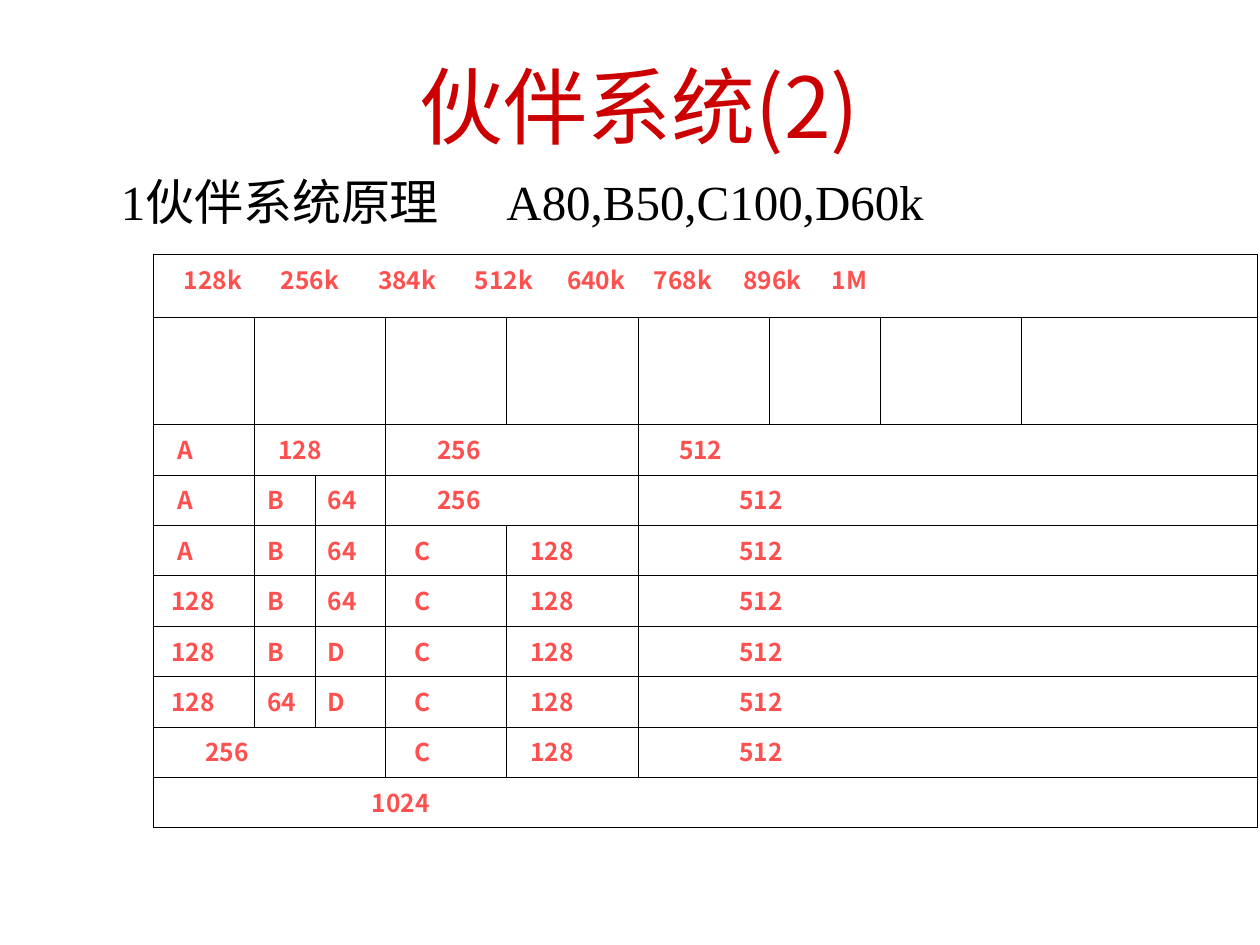
import pptx
import pptx.util
import pptx.dml.color
import pptx.enum.text
import pptx.oxml.ns
from lxml import etree

Inches = pptx.util.Inches
Pt = pptx.util.Pt
qn = pptx.oxml.ns.qn

INK = {"title": "CC0000", "text": "000000", "cell": "FF5050", "line": "000000"}
SANS = "Noto Sans CJK SC"
COLS = [0.8, 0.48, 0.56, 0.96, 1.05, 1.04, 0.88, 1.12, 1.05]
ROWS = [0.5, 0.85] + [0.4] * 8
MARKS = ["128k", "256k", "384k", "512k", "640k", "768k", "896k", "1M"]
STOPS = [0.77, 1.54, 2.31, 3.04, 3.73, 4.44, 5.14]

# Each block is its label, the columns it spans and its indent in inches.
A = ("A", 1, 0.09)
B = ("B", 1, 0)
C = ("C", 1, 0.13)
D = ("D", 1, 0)
FREE = ("128", 1, 0.04)
SMALL = ("64", 1, 0)
HALF = ("256", 2, 0.31)
TAIL = [("128", 1, 0.09), ("512", 4, 0.7)]
BLOCKS = [
    [("\t".join(MARKS), 9, 0.14)],
    [("", span, 0) for span in (1, 2, 1, 1, 1, 1, 1, 1)],
    [A, ("128", 2, 0.09), HALF, ("512", 4, 0.22)],
    [A, B, SMALL, HALF, TAIL[1]],
    [A, B, SMALL, C] + TAIL,
    [FREE, B, SMALL, C] + TAIL,
    [FREE, B, D, C] + TAIL,
    [FREE, SMALL, D, C] + TAIL,
    [("256", 3, 0.31), C] + TAIL,
    [("1024", 9, 1.63)],
]


def style(para, size, face, east, ink, bold=False):
    for run in para.runs:
        font = run.font
        font.size = Pt(size)
        font.bold = bold
        font.color.rgb = pptx.dml.color.RGBColor.from_string(INK[ink])
        font.name = face
        props = run._r.get_or_add_rPr()
        etree.SubElement(props, qn("a:ea")).set("typeface", east)


def set_tabs(para, stops):
    tabs = etree.SubElement(para._p.get_or_add_pPr(), qn("a:tabLst"))
    for stop in stops:
        tab = etree.SubElement(tabs, qn("a:tab"))
        tab.set("pos", str(Inches(stop)))
        tab.set("algn", "l")


def place(shape, left, top, width, height):
    shape.left, shape.top = Inches(left), Inches(top)
    shape.width, shape.height = Inches(width), Inches(height)


def add_title(slide):
    title = slide.shapes.title
    place(title, 0.75, 0.21, 8.5, 1.25)
    frame = title.text_frame
    frame.text = "伙伴系统(2)"
    frame.margin_left = Inches(0.25)
    frame.vertical_anchor = pptx.enum.text.MSO_ANCHOR.MIDDLE
    para = frame.paragraphs[0]
    para.alignment = pptx.enum.text.PP_ALIGN.CENTER
    style(para, 48, "Noto Sans CJK JP", "Noto Sans CJK JP", "title")


def add_lead(slide):
    box = slide.shapes.add_textbox(0, 0, 0, 0)
    frame = box.text_frame
    frame.word_wrap = True
    frame.margin_left = Inches(0.21)
    frame.text = "1伙伴系统原理\tA80,B50,C100,D60k"
    para = frame.paragraphs[0]
    set_tabs(para, [3.06])
    style(para, 28, "Times New Roman", SANS, "text")
    place(box, 0.75, 1.31, 8.5, 5.75)


def rule_cell(cell):
    cell.fill.background()
    props = cell._tc.get_or_add_tcPr()
    for spot, side in enumerate(("lnL", "lnR", "lnT", "lnB")):
        line = etree.Element(qn("a:" + side))
        line.set("w", str(Pt(0.45)))
        fill = etree.SubElement(line, qn("a:solidFill"))
        etree.SubElement(fill, qn("a:srgbClr")).set("val", INK["line"])
        props.insert(spot, line)


def fill_row(table, row, blocks):
    col = 0
    for text, span, shift in blocks:
        cell = table.cell(row, col)
        if span > 1:
            cell.merge(table.cell(row, col + span - 1))
        cell.margin_left = Inches(0.1 + shift)
        if text:
            cell.text_frame.text = text
            para = cell.text_frame.paragraphs[0]
            if "\t" in text:
                set_tabs(para, STOPS)
            style(para, 14, SANS, SANS, "cell", True)
        col += span


def add_grid(slide):
    frame = slide.shapes.add_table(
        len(ROWS), len(COLS), Inches(1.22), Inches(2.02),
        Inches(sum(COLS)), Inches(sum(ROWS)))
    table = frame.table
    table.first_row = False
    table.horz_banding = False
    for col, width in zip(table.columns, COLS):
        col.width = Inches(width)
    for row, height in zip(table.rows, ROWS):
        row.height = Inches(height)
    for cell in table.iter_cells():
        rule_cell(cell)
    for row, blocks in enumerate(BLOCKS):
        fill_row(table, row, blocks)


def main():
    deck = pptx.Presentation()
    deck.slide_width, deck.slide_height = Inches(10), Inches(7.5)
    slide = deck.slides.add_slide(deck.slide_layouts[5])
    add_title(slide)
    add_lead(slide)
    add_grid(slide)
    deck.save("out.pptx")


if __name__ == "__main__":
    main()
